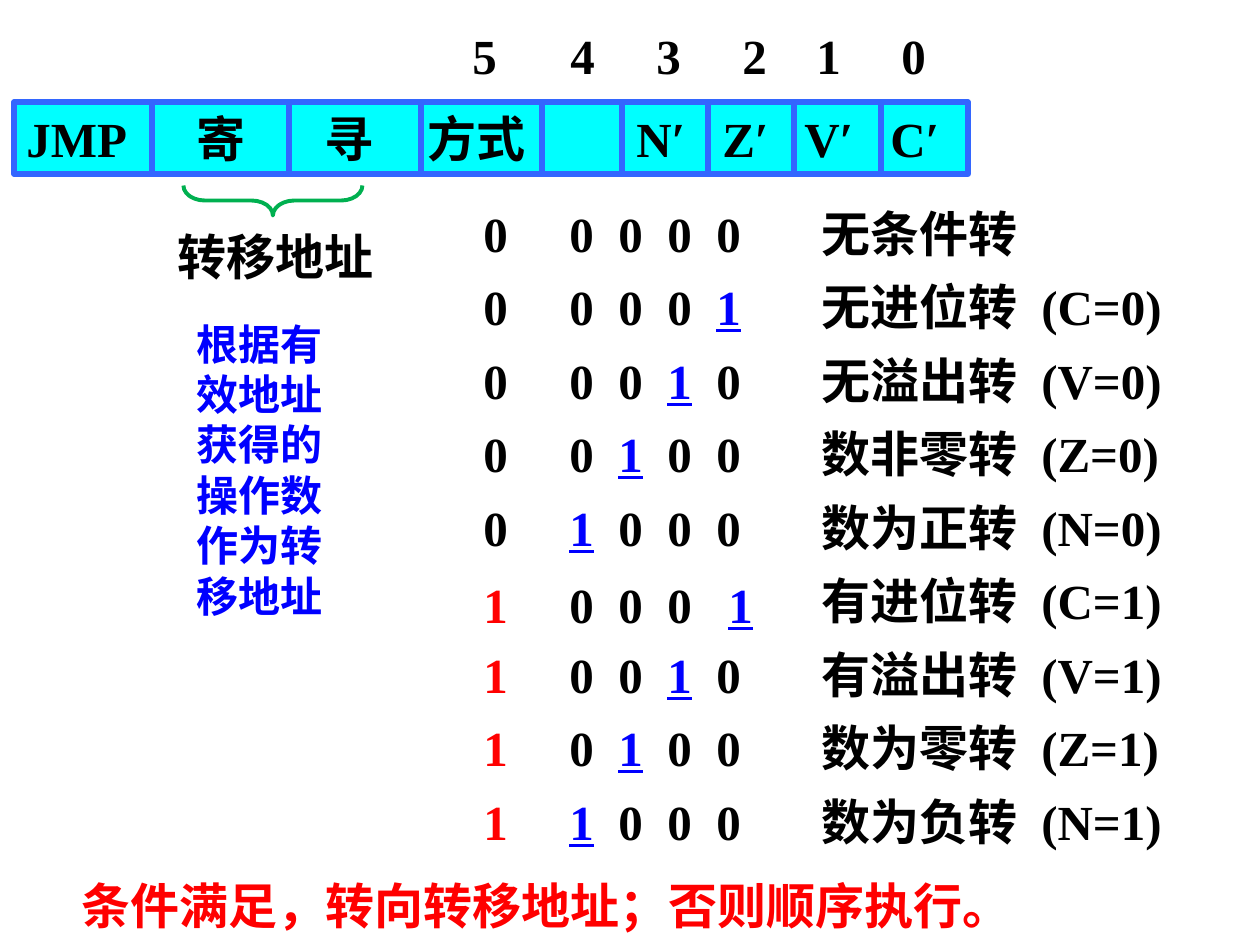
from typing import NamedTuple, Sequence

from lxml.etree import SubElement
from pptx import Presentation
from pptx.dml.color import RGBColor
from pptx.enum.shapes import MSO_CONNECTOR, MSO_SHAPE
from pptx.enum.text import MSO_ANCHOR, MSO_AUTO_SIZE, PP_ALIGN
from pptx.oxml.ns import qn
from pptx.util import Pt

PX = 914400 / 126
COLORS = {
    "black": "000000",
    "white": "FFFFFF",
    "red": "FF0000",
    "blue": "0000FF",
    "cyan": "00FFFF",
    "border": "3366FF",
    "green": "00B050",
}
FONT_FORMAT = {"name": "Times New Roman", "bold": True}
FRAME_FORMAT = {
    "word_wrap": True,
    "auto_size": MSO_AUTO_SIZE.SHAPE_TO_FIT_TEXT,
    "vertical_anchor": MSO_ANCHOR.TOP,
}


class Box(NamedTuple):
    left: int
    top: int
    width: int
    height: int = 72


class Run(NamedTuple):
    text: str
    color: str = "black"
    underline: bool = False


class Label(NamedTuple):
    box: Box
    text: str
    color: str = "black"
    size: int = 28


class Jump(NamedTuple):
    opcode: str
    flags: str
    meaning: str
    condition: str = ""
    drop: int = 0
    last_shift: int = 0


BIT_NUMBERS = "\t5\t4\t3\t2\t1\t0"
BIT_NUMBER_TABS = (439, 537, 623, 709, 783, 868)
BAR = Box(14, 102, 954)
BAR_TEXT = "JMP\t寄\t寻\t方式\tN′\tZ′\tV′\tC′"
BAR_TABS = (170, 298, 401, 610, 696, 778, 864)
DIVIDERS = (152, 289, 421, 542, 622, 708, 794, 881)
DIVIDER_BOTTOM = 171

JUMPS = [
    Jump("0", "0000", "无条件转"),
    Jump("0", "0001", "无进位转", "(C=0)"),
    Jump("0", "0010", "无溢出转", "(V=0)"),
    Jump("0", "0100", "数非零转", "(Z=0)"),
    Jump("0", "1000", "数为正转", "(N=0)"),
    Jump("1", "0001", "有进位转", "(C=1)", drop=4, last_shift=12),
    Jump("1", "0010", "有溢出转", "(V=1)"),
    Jump("1", "0100", "数为零转", "(Z=1)"),
    Jump("1", "1000", "数为负转", "(N=1)"),
]
FIRST_JUMP_TOP = 197
JUMP_STEP = 73.5
FIRST_FLAG_TAB = 86
FLAG_STEP = 49
CODE_WIDTHS = {"0": 714, "1": 535}

LABELS = [
    Label(Box(165, 220, 236), "转移地址"),
    Label(Box(69, 869, 1007), "条件满足，转向转移地址；否则顺序执行。", "red"),
    Label(Box(184, 312, 179, 318), "根据有效地址获得的操作数作为转移地址", "blue", 24),
]


def emu(pixels: float) -> int:
    return round(pixels * PX)


def rgb(name: str) -> RGBColor:
    return RGBColor.from_string(COLORS[name])


def apply_format(target, values: dict) -> None:
    for name, value in values.items():
        setattr(target, name, value)


def write_runs(shape, runs: Sequence[Run], tabs: Sequence[int] = (), size: int = 28) -> None:
    """Fill the shape with one paragraph; tabs are px from the text edge."""
    apply_format(shape.text_frame, FRAME_FORMAT)
    paragraph = shape.text_frame.paragraphs[0]
    paragraph.alignment = PP_ALIGN.LEFT
    if tabs:
        tab_list = SubElement(paragraph._p.get_or_add_pPr(), qn("a:tabLst"))
        for position in tabs:
            SubElement(tab_list, qn("a:tab"), pos=str(emu(position)), algn="l")
    for item in runs:
        run = paragraph.add_run()
        run.text = item.text
        apply_format(run.font, {**FONT_FORMAT, "size": Pt(size)})
        if item.underline:
            run.font.underline = True
        run.font.color.rgb = rgb(item.color)


def add_text(slide, box: Box, runs: Sequence[Run], tabs: Sequence[int] = (), size: int = 28) -> None:
    write_runs(slide.shapes.add_textbox(*map(emu, box)), runs, tabs, size)


def add_filled_shape(slide, kind: MSO_SHAPE, box: Box, fill: str, line: str, width: float):
    shape = slide.shapes.add_shape(kind, *map(emu, box))
    shape.shadow.inherit = False
    shape.fill.solid()
    shape.fill.fore_color.rgb = rgb(fill)
    shape.line.color.rgb = rgb(line)
    shape.line.width = Pt(width)
    return shape


def add_divider(slide, x: int) -> None:
    ends = map(emu, (x, BAR.top, x, DIVIDER_BOTTOM))
    divider = slide.shapes.add_connector(MSO_CONNECTOR.STRAIGHT, *ends)
    divider.line.color.rgb = rgb("border")
    divider.line.width = Pt(3)
    SubElement(divider._element.spPr, qn("a:effectLst"))


def add_jump(slide, index: int, jump: Jump) -> None:
    top = int(FIRST_JUMP_TOP + index * JUMP_STEP)
    runs = [Run(jump.opcode, "red" if jump.opcode == "1" else "black")]
    for flag in jump.flags:
        is_set = flag == "1"
        runs += [Run("\t"), Run(flag, "blue" if is_set else "black", is_set)]
    tabs = [FIRST_FLAG_TAB + FLAG_STEP * position for position in range(len(jump.flags))]
    tabs[-1] += jump.last_shift
    add_text(slide, Box(471, top + jump.drop, CODE_WIDTHS[jump.opcode]), runs, tabs)
    add_text(slide, Box(809, top, 325), [Run(jump.meaning)])
    if jump.condition:
        add_text(slide, Box(1029, top, 189), [Run(jump.condition)])


def main() -> None:
    presentation = Presentation()
    presentation.slide_width = emu(1260)
    presentation.slide_height = emu(945)
    slide = presentation.slides.add_slide(presentation.slide_layouts[6])

    add_text(slide, Box(21, 19, 966), [Run(BIT_NUMBERS)], BIT_NUMBER_TABS)
    brace = add_filled_shape(
        slide, MSO_SHAPE.LEFT_BRACE, Box(258, 111, 30, 179), "white", "green", 2.25
    )
    brace.rotation = 270
    brace.adjustments[0] = 0.71
    brace.adjustments[1] = 0.5

    bar = add_filled_shape(slide, MSO_SHAPE.RECTANGLE, BAR, "cyan", "border", 3)
    write_runs(bar, [Run(BAR_TEXT)], BAR_TABS)
    for x in DIVIDERS:
        add_divider(slide, x)

    for index, jump in enumerate(JUMPS):
        add_jump(slide, index, jump)
    for label in LABELS:
        add_text(slide, label.box, [Run(label.text, label.color)], size=label.size)

    presentation.save("out.pptx")


if __name__ == "__main__":
    main()
